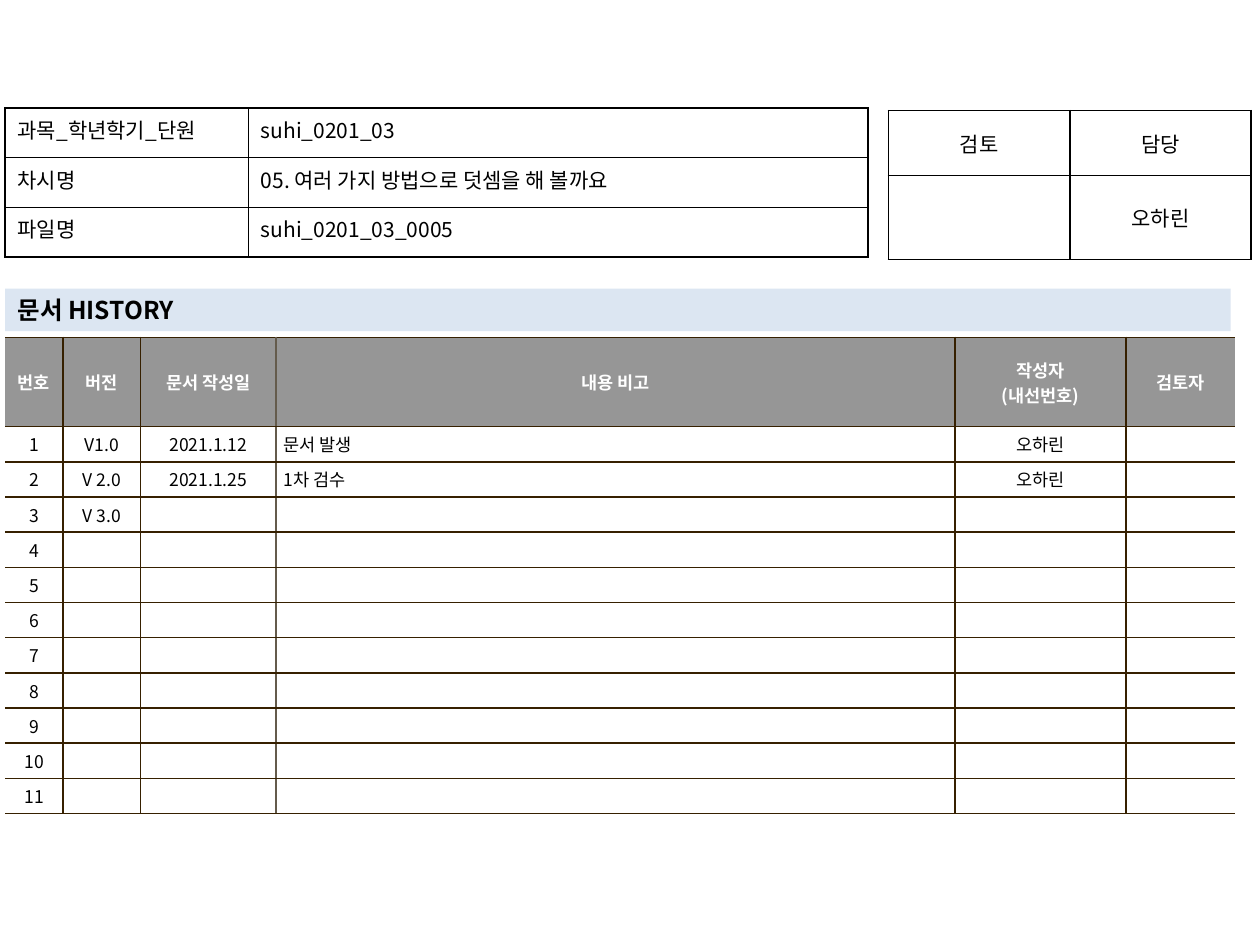
from dataclasses import dataclass

import pptx
import pptx.dml.color
import pptx.enum.shapes
import pptx.enum.text
import pptx.oxml.ns
import pptx.util
from lxml import etree

Pt = pptx.util.Pt
RGBColor = pptx.dml.color.RGBColor
Align = pptx.enum.text.PP_ALIGN
Anchor = pptx.enum.text.MSO_ANCHOR
qn = pptx.oxml.ns.qn

BLACK = RGBColor(0x00, 0x00, 0x00)
WHITE = RGBColor(0xFF, 0xFF, 0xFF)
GREY = RGBColor(0x96, 0x96, 0x96)
PALE_BLUE = RGBColor(0xDC, 0xE6, 0xF2)
BROWN = RGBColor(0x36, 0x20, 0x00)
TAUPE = RGBColor(0x64, 0x5B, 0x4C)
FONT = "Noto Sans CJK KR"
LEFT = 2.9


@dataclass
class Grid:
    left: float
    top: float
    widths: list[float]
    heights: list[float]
    rows: list[list[str]]
    aligns: list[Align]
    row_line: RGBColor
    column_lines: list[RGBColor | None]
    size: float = 12
    anchor: Anchor = Anchor.MIDDLE
    margins: tuple[float, float] = (7.2, 3.6)
    fill: RGBColor | None = None
    header_fill: RGBColor | None = None


def write_text(frame, text: str, *, size: float, align: Align = Align.LEFT,
               color: RGBColor = BLACK, bold: bool = False) -> None:
    for index, line in enumerate(text.split("\n")):
        para = frame.add_paragraph() if index else frame.paragraphs[0]
        para.alignment = align
        if not line:
            etree.SubElement(para._p, qn("a:endParaRPr"), sz=str(int(size * 100)))
            continue
        span = para.add_run()
        span.text = line
        span.font.size = Pt(size)
        span.font.bold = bold
        span.font.name = FONT
        span.font.color.rgb = color
        etree.SubElement(span._r.get_or_add_rPr(), qn("a:ea"), typeface=FONT)


def draw_borders(cell, left: RGBColor | None, right: RGBColor | None,
                 row_line: RGBColor) -> None:
    properties = cell._tc.get_or_add_tcPr()
    sides = (("lnL", left), ("lnR", right), ("lnT", row_line), ("lnB", row_line))
    for index, (side, color) in enumerate(sides):
        line = etree.Element(qn(f"a:{side}"), w=str(Pt(1)))
        if color is None:
            etree.SubElement(line, qn("a:noFill"))
        else:
            solid = etree.SubElement(line, qn("a:solidFill"))
            etree.SubElement(solid, qn("a:srgbClr"), val=str(color))
        properties.insert(index, line)


def draw_grid(page, grid: Grid) -> None:
    table = page.shapes.add_table(
        len(grid.heights), len(grid.widths), Pt(grid.left), Pt(grid.top),
        Pt(sum(grid.widths)), Pt(sum(grid.heights))).table
    table.first_row = grid.header_fill is not None
    table.horz_banding = False
    for column, width in zip(table.columns, grid.widths):
        column.width = Pt(width)
    for row, height in zip(table.rows, grid.heights):
        row.height = Pt(height)
    for row_index, texts in enumerate(grid.rows):
        header = row_index == 0 and grid.header_fill is not None
        fill = grid.header_fill if header else grid.fill
        for column_index, text in enumerate(texts):
            cell = table.cell(row_index, column_index)
            cell.vertical_anchor = grid.anchor
            cell.margin_left = cell.margin_right = Pt(grid.margins[0])
            cell.margin_top = cell.margin_bottom = Pt(grid.margins[1])
            if fill is None:
                cell.fill.background()
            else:
                cell.fill.solid()
                cell.fill.fore_color.rgb = fill
            write_text(cell.text_frame, text, size=grid.size, bold=header,
                       color=WHITE if header else BLACK,
                       align=Align.CENTER if header else grid.aligns[column_index])
            draw_borders(cell, grid.column_lines[column_index],
                         grid.column_lines[column_index + 1], grid.row_line)


def draw_heading(page, text: str) -> None:
    box = page.shapes.add_shape(pptx.enum.shapes.MSO_SHAPE.RECTANGLE,
                                Pt(LEFT), Pt(165), Pt(700.3), Pt(24.2))
    box.shadow.inherit = False
    box.fill.solid()
    box.fill.fore_color.rgb = PALE_BLUE
    box.line.fill.background()
    frame = box.text_frame
    frame.word_wrap = True
    frame.auto_size = pptx.enum.text.MSO_AUTO_SIZE.SHAPE_TO_FIT_TEXT
    frame.vertical_anchor = Anchor.MIDDLE
    write_text(frame, text, size=14, bold=True)


def main() -> None:
    deck = pptx.Presentation()
    deck.slide_width, deck.slide_height = Pt(720), Pt(540)
    page = deck.slides.add_slide(deck.slide_layouts[6])

    entries = [
        ["V1.0", "2021.1.12", "문서 발생", "오하린", ""],
        ["V 2.0", "2021.1.25", "1차 검수", "오하린", ""],
        ["V 3.0", "", "", "", ""],
    ]
    entries += [[""] * 5 for _ in range(11 - len(entries))]
    headers = ["번호", "버전", "문서 작성일", "내용 비고", "작성자\n(내선번호)", "검토자"]
    history = Grid(
        LEFT, 192.8, [33.1, 44.2, 77.6, 387.9, 97.9, 62.4], [51] + [20.1] * 11,
        [headers] + [[str(number), *entry] for number, entry in enumerate(entries, 1)],
        [Align.CENTER] * 3 + [Align.LEFT] + [Align.CENTER] * 2,
        BROWN, [None, BROWN, BROWN, TAUPE, BROWN, BROWN, None],
        size=10, margins=(4.3, 2.7), fill=WHITE, header_fill=GREY)
    review = Grid(
        507.6, 63.2, [103.7] * 2, [37, 48], [["검토", "담당"], ["", "오하린"]],
        [Align.CENTER] * 2, BLACK, [BLACK] * 3)
    document = Grid(
        LEFT, 61.7, [139, 354.2], [28.4] * 3,
        [["과목_학년학기_단원", "suhi_0201_03"],
         ["차시명", "05. 여러 가지 방법으로 덧셈을 해 볼까요"],
         ["파일명", "suhi_0201_03_0005"]],
        [Align.JUSTIFY, Align.LEFT], BLACK, [BLACK] * 3, anchor=Anchor.TOP)

    draw_grid(page, history)
    draw_grid(page, review)
    draw_heading(page, "문서 HISTORY")
    draw_grid(page, document)
    deck.save("out.pptx")


if __name__ == "__main__":
    main()
